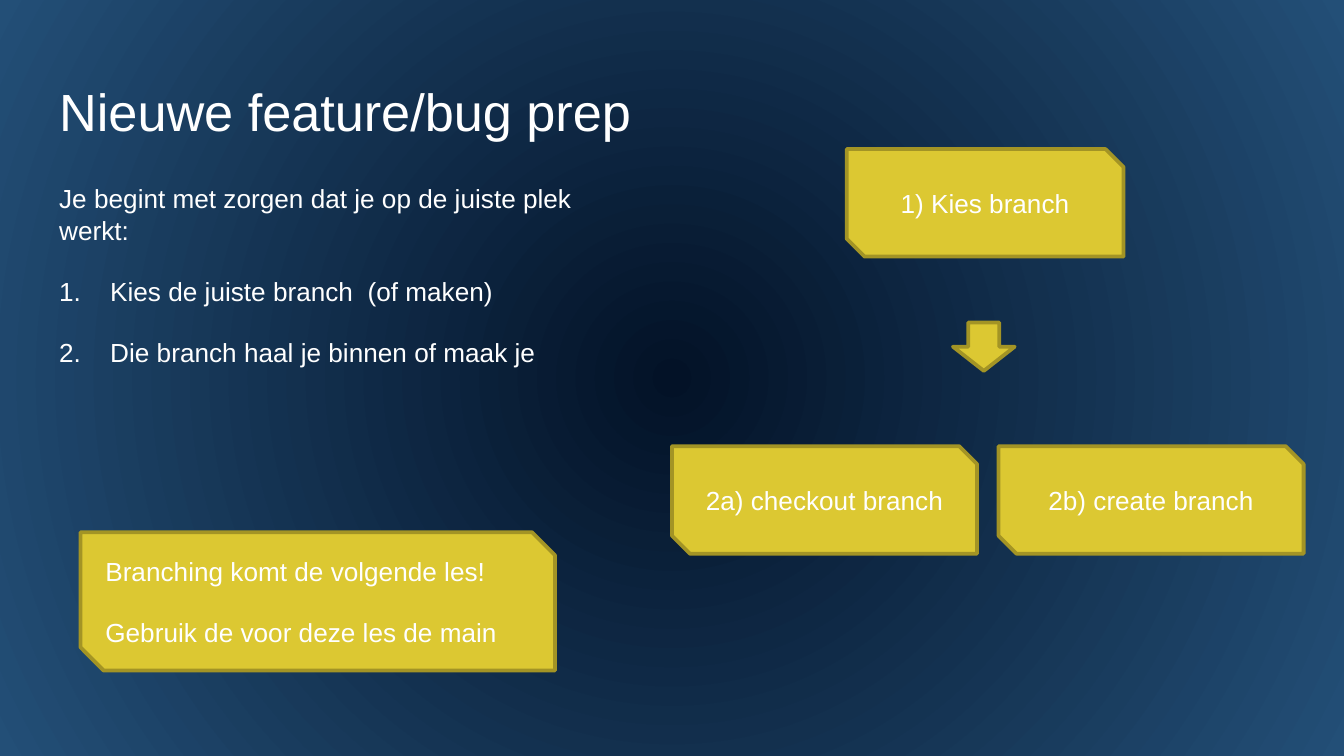
import pptx
import pptx.util
import pptx.dml.color
import pptx.enum.shapes
import pptx.enum.text
import pptx.oxml.ns
import lxml.etree

Inches, Pt = pptx.util.Inches, pptx.util.Pt
RGBColor = pptx.dml.color.RGBColor
Shape = pptx.enum.shapes.MSO_SHAPE
Align = pptx.enum.text.PP_ALIGN
Anchor = pptx.enum.text.MSO_ANCHOR
qn = pptx.oxml.ns.qn

NAVY = RGBColor(0x03, 0x12, 0x27)
BLUE = RGBColor(0x23, 0x4F, 0x77)
GOLD = RGBColor(0xDC, 0xC8, 0x32)
OLIVE = RGBColor(0xA3, 0x94, 0x25)
WHITE = RGBColor(0xFF, 0xFF, 0xFF)

TITLE = "Nieuwe feature/bug prep"
INTRO = "Je begint met zorgen dat je op de juiste plek werkt:"
TASKS = ["Kies de juiste branch  (of maken)", "Die branch haal je binnen of maak je"]
NOTES = ["Branching komt de volgende les!", "Gebruik de voor deze les de main"]
STEPS = [
    ("1) Kies branch", 6.3, 1.11, 2.06),
    ("2a) checkout branch", 5, 3.32, 2.27),
    ("2b) create branch", 7.43, 3.32, 2.27),
]
STEP_H = 0.8


def add(node, tag, **attrs):
    return lxml.etree.SubElement(node, qn(tag), attrs)


def write(frame, lines, size=14, align=Align.LEFT, after=0):
    frame.word_wrap = True
    frame.text = "\n".join(lines)
    for para in frame.paragraphs:
        para.alignment = align
        para.line_spacing = 1.0
        para.space_before, para.space_after = Pt(0), Pt(after)
        for run in para.runs:
            run.font.name, run.font.size = "Arial", Pt(size)
            run.font.color.rgb = WHITE


def fit(holder, *box):
    holder.left, holder.top, holder.width, holder.height = map(Inches, box)
    frame = holder.text_frame
    frame.auto_size = pptx.enum.text.MSO_AUTO_SIZE.NONE
    frame.vertical_anchor = Anchor.TOP
    frame.margin_left = frame.margin_right = Inches(0.1)
    frame.margin_top = frame.margin_bottom = Inches(0.1)
    return frame


def draw(kind, *box):
    shape = slide.shapes.add_shape(kind, *map(Inches, box))
    shape.shadow.inherit = False
    shape.fill.solid()
    shape.fill.fore_color.rgb = GOLD
    shape.line.color.rgb = OLIVE
    shape.line.width = Pt(2)
    add(shape.line._get_or_add_ln(), "a:round")
    shape.text_frame.vertical_anchor = Anchor.MIDDLE
    return shape


deck = pptx.Presentation()
deck.slide_width = Inches(10)
deck.slide_height = deck.slide_width * 9 // 16
slide = deck.slides.add_slide(deck.slide_layouts[1])

fill = slide.background.fill
fill.gradient()
for stop, tone, place in zip(fill.gradient_stops, (NAVY, BLUE), (0, 1)):
    stop.color.rgb, stop.position = tone, place
grad = slide.element.find(".//" + qn("a:gradFill"))
grad.remove(grad.find(qn("a:lin")))
focus = add(grad, "a:path", path="circle")
add(focus, "a:fillToRect", **dict.fromkeys("ltrb", "50000"))

write(fit(slide.shapes.title, 0.34, 0.49, 9.32, 0.63), [TITLE], size=28)

body = fit(slide.placeholders[1], 0.34, 1.26, 4.37, 3.74)
write(body, [INTRO] + TASKS, after=16)
for rank, para in enumerate(body.paragraphs):
    props = para._p.get_or_add_pPr()
    dent = Inches(0.38) if rank else 0
    props.set("marL", str(dent))
    props.set("indent", str(-dent))
    if rank:
        add(props, "a:buFont", typeface="Arial")
        add(props, "a:buAutoNum", type="arabicPeriod")
    else:
        add(props, "a:buNone")

for label, left, top, width in STEPS:
    step = draw(Shape.SNIP_2_DIAG_RECTANGLE, left, top, width, STEP_H)
    write(step.text_frame, [label], align=Align.CENTER)

arrow = draw(Shape.RIGHT_ARROW, 7.14, 2.35, 0.36, 0.46)
arrow.rotation = 90

note = draw(Shape.SNIP_2_DIAG_RECTANGLE, 0.6, 3.96, 3.53, 1.03)
write(note.text_frame, NOTES, after=16)

deck.save("out.pptx")
